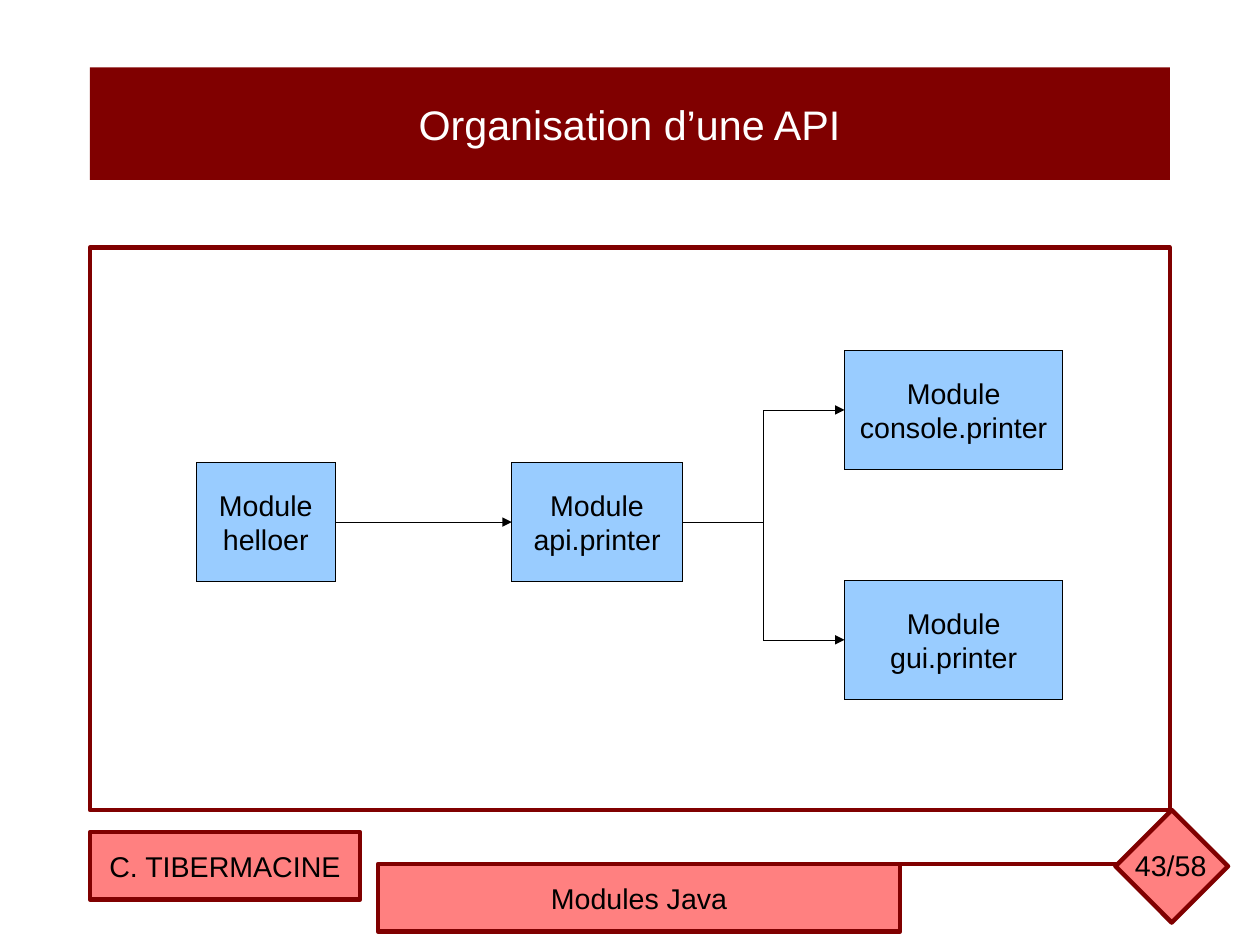
from dataclasses import dataclass

from pptx import Presentation
from pptx.dml.color import RGBColor
from pptx.enum.shapes import MSO_CONNECTOR, MSO_SHAPE
from pptx.enum.text import MSO_ANCHOR, MSO_AUTO_SIZE, PP_ALIGN
from pptx.oxml.ns import qn
from pptx.util import Pt
from lxml.etree import SubElement


@dataclass(frozen=True)
class Theme:
    font: str = "Arial"
    title_size: float = 26
    text_size: float = 18
    frame_line: float = 2.83
    hairline: float = 0.01
    dark_red: RGBColor = RGBColor(0x80, 0x00, 0x00)
    pink: RGBColor = RGBColor(0xFF, 0x80, 0x80)
    blue: RGBColor = RGBColor(0x99, 0xCC, 0xFF)
    white: RGBColor = RGBColor(0xFF, 0xFF, 0xFF)
    black: RGBColor = RGBColor(0x00, 0x00, 0x00)


THEME = Theme()
LEFT, WIDTH = 56.7, 680.3
FOOTER_TOP, FOOTER_HEIGHT = 544.2, 42.5
MODULE_HEIGHT = 74.9
LEFT_SIDE, RIGHT_SIDE = 1, 3


def set_all(target, values):
    for name, value in values.items():
        setattr(target, name, value)


def write(shape, text, size=THEME.text_size, color=THEME.black, insets=(7.2, 3.6), wrap=True):
    across, down = insets
    frame = shape.text_frame
    set_all(frame, {
        "word_wrap": wrap,
        "auto_size": MSO_AUTO_SIZE.NONE,
        "vertical_anchor": MSO_ANCHOR.MIDDLE,
        "margin_left": Pt(across), "margin_right": Pt(across),
        "margin_top": Pt(down), "margin_bottom": Pt(down),
    })
    para = frame.paragraphs[0]
    para.alignment = PP_ALIGN.CENTER
    span = para.add_run()
    span.text = text
    set_all(span.font, {"name": THEME.font, "size": Pt(size)})
    span.font.color.rgb = color


def draw_line(line, color, width):
    line.color.rgb = color
    line.width = Pt(width)


def add_title(page, text):
    title = page.shapes.title
    set_all(title, {"left": Pt(LEFT), "top": Pt(42.5), "width": Pt(WIDTH), "height": Pt(70.9)})
    title.fill.solid()
    title.fill.fore_color.rgb = THEME.dark_red
    write(title, text, THEME.title_size, THEME.white)


def add_box(page, place, fill, line_color=THEME.dark_red, line_width=THEME.frame_line,
            kind=MSO_SHAPE.RECTANGLE):
    box = page.shapes.add_shape(kind, *map(Pt, place))
    box.shadow.inherit = False
    box.fill.solid()
    box.fill.fore_color.rgb = fill
    draw_line(box.line, line_color, line_width)
    return box


def add_module(page, name, left, top, width):
    box = add_box(page, (left, top, width, MODULE_HEIGHT), THEME.blue,
                  THEME.black, THEME.hairline)
    write(box, f"Module {name}")
    return box


def add_line(page, kind, color, width, ends=(0, 0, 0, 0)):
    connector = page.shapes.add_connector(kind, *map(Pt, ends))
    draw_line(connector.line, color, width)
    SubElement(connector._element.spPr, qn("a:effectLst"))
    return connector


def add_arrow(page, source, target, kind=MSO_CONNECTOR.ELBOW):
    arrow = add_line(page, kind, THEME.black, THEME.hairline)
    arrow.begin_connect(source, RIGHT_SIDE)
    arrow.end_connect(target, LEFT_SIDE)
    SubElement(arrow.line._get_or_add_ln(), qn("a:tailEnd"), type="triangle")


def add_footer(page, author, topic, number):
    add_line(page, MSO_CONNECTOR.STRAIGHT, THEME.dark_red, THEME.frame_line,
             (708.5, FOOTER_TOP, 524.2, FOOTER_TOP))
    for text, left, top, width in (
        (author, LEFT, 524.2, 170.1),
        (topic, 238.1, FOOTER_TOP, 329),
    ):
        box = add_box(page, (left, top, width, FOOTER_HEIGHT), THEME.pink)
        write(box, text, insets=(8.6, 5))
    add_box(page, (702.7, 510.2, 70.9, 70.9), THEME.pink, kind=MSO_SHAPE.DIAMOND)
    label = page.shapes.add_textbox(*map(Pt, (707.5, 531.4, 60, 27.4)))
    write(label, number, wrap=False)


def main():
    deck = Presentation()
    deck.slide_width = Pt(793.75)
    deck.slide_height = Pt(595.25)
    page = deck.slides.add_slide(deck.slide_layouts.get_by_name("Title Only"))

    add_title(page, "Organisation d’une API")
    add_box(page, (LEFT, 155.9, WIDTH, 354.3), THEME.white)
    add_footer(page, "C. TIBERMACINE", "Modules Java", "43/58")

    helloer = add_module(page, "helloer", 123.8, 291.4, 87.3)
    api = add_module(page, "api.printer", 322.4, 291.4, 107.5)
    add_arrow(page, helloer, api, MSO_CONNECTOR.STRAIGHT)
    for name, top in (("console.printer", 220.8), ("gui.printer", 365.6)):
        add_arrow(page, api, add_module(page, name, 532, top, 137.5))

    deck.save("out.pptx")


if __name__ == "__main__":
    main()
